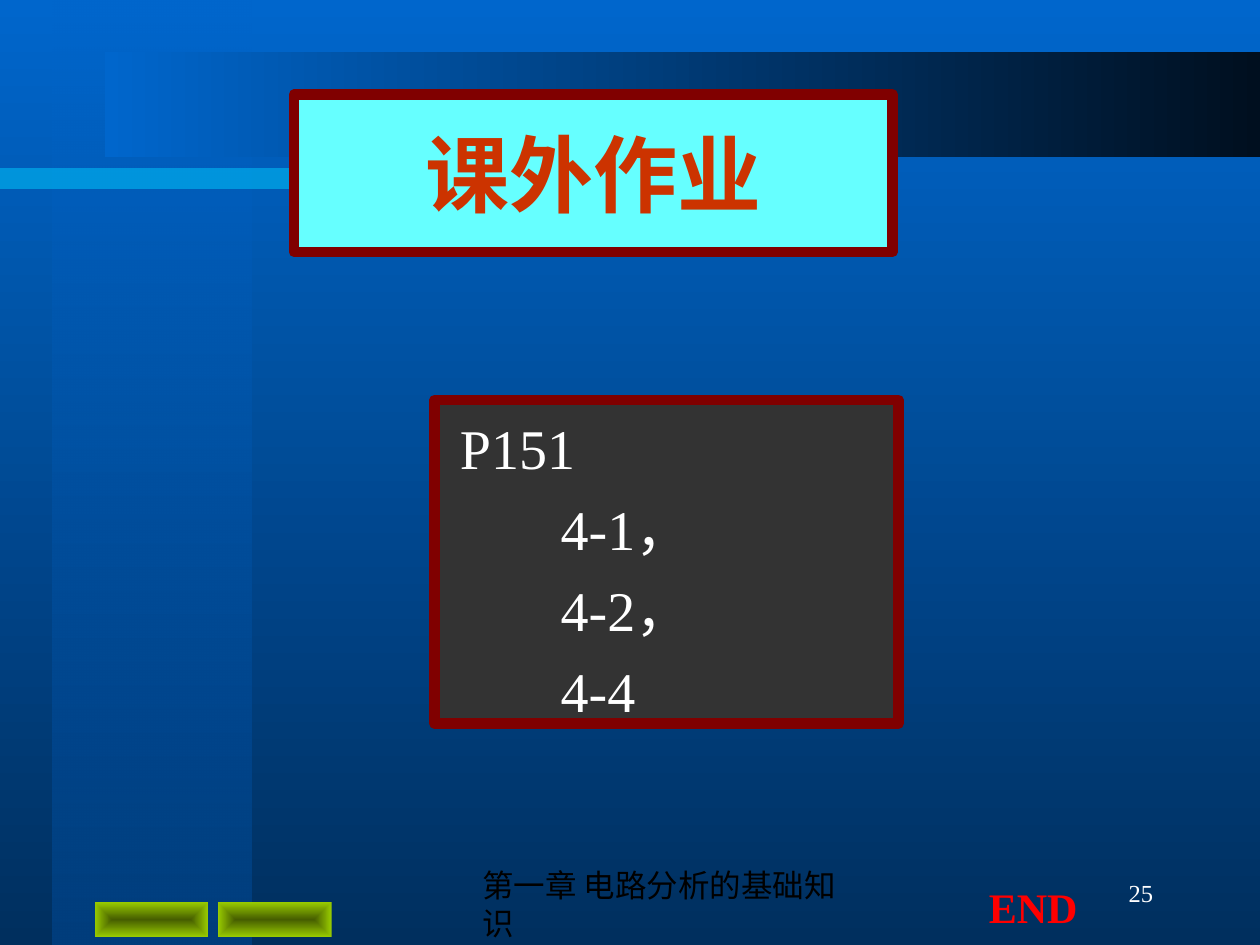
from lxml.etree import SubElement
from pptx import Presentation
from pptx.dml.color import RGBColor
from pptx.enum.shapes import MSO_SHAPE as Shape
from pptx.enum.text import MSO_ANCHOR as Anchor, PP_ALIGN as Align
from pptx.oxml.ns import qn
from pptx.util import Pt

COLORS = {
    "sky": "0066CC", "deep": "002F5E", "column": "003E7D", "night": "000F1F",
    "stripe": "00CCFF", "olive": "465E00", "lime": "99CC00", "cyan": "66FFFF",
    "maroon": "800000", "orange": "CC3300", "charcoal": "333333",
    "white": "FFFFFF", "red": "FF0000", "black": "000000",
}
SERIF, SANS, CHINESE = "Times New Roman", "Arial", "Noto Sans CJK SC"


def color(name):
    """Return the named colour."""
    return RGBColor.from_string(COLORS[name])


def set_gradient(fill, start, end, angle):
    """Apply a two-colour linear gradient."""
    fill.gradient()
    fill.gradient_angle = angle
    for stop, name, position in zip(fill.gradient_stops, (start, end), (0, 1)):
        stop.color.rgb = color(name)
        stop.position = position


def fade_first_color(shape):
    """Make the first fill colour of a shape half transparent."""
    first = next(shape._element.spPr.iter(qn("a:srgbClr")))
    SubElement(first, qn("a:alpha"), val="50000")


def center_gradient(shape):
    """Turn a linear gradient into a rectangular one from the centre."""
    linear = next(shape._element.spPr.iter(qn("a:lin")))
    gradient = linear.getparent()
    gradient.remove(linear)
    path = SubElement(gradient, qn("a:path"), path="rect")
    SubElement(path, qn("a:fillToRect"), **dict.fromkeys("ltrb", "50000"))


def add_rectangle(slide, box, fill=None, border=None):
    """Add a rectangle with an optional solid fill and border."""
    shape = slide.shapes.add_shape(Shape.RECTANGLE, *map(Pt, box))
    shape.shadow.inherit = False
    if fill:
        shape.fill.solid()
        shape.fill.fore_color.rgb = color(fill)
    if border:
        shape.line.color.rgb = color(border)
        shape.line.width = Pt(6)
    else:
        shape.line.fill.background()
    return shape


def write_text(shape, lines, ink, font, frame=None, layout=None):
    """Write paragraphs with shared frame, paragraph and font formats."""
    text_frame = shape.text_frame
    for name, value in {"word_wrap": True, **(frame or {})}.items():
        setattr(text_frame, name, value)
    text_frame.text = "\n".join(lines)
    for paragraph in text_frame.paragraphs:
        for name, value in {"alignment": Align.LEFT, **(layout or {})}.items():
            setattr(paragraph, name, value)
        for run in paragraph.runs:
            for name, value in font.items():
                setattr(run.font, name, value)
            run.font.color.rgb = color(ink)
            SubElement(run._r.get_or_add_rPr(), qn("a:ea"), typeface=CHINESE)


def add_backdrop(slide, box):
    """Draw the background with its column, stripe and top band."""
    left, top, width, height = box
    set_gradient(slide.background.fill, "sky", "deep", 270)
    column = add_rectangle(slide, (left + 30, top, 114, height))
    set_gradient(column.fill, "sky", "column", 270)
    stripe = add_rectangle(slide, (left, top + 96, 372, 12), "stripe")
    band = add_rectangle(slide, (left + 60, top + 30, width - 60, 60))
    set_gradient(band.fill, "night", "sky", 180)
    for shape in (column, stripe):
        fade_first_color(shape)


def add_buttons(slide, box):
    """Draw two equal buttons at the ends of the box."""
    left, top, width, height = box
    button_width = 65
    for button_left in (left, left + width - button_width):
        button = add_rectangle(slide, (button_left, top, button_width, height))
        set_gradient(button.fill, "olive", "lime", 0)
        center_gradient(button)


def add_title(slide, box):
    """Draw the framed title."""
    write_text(add_rectangle(slide, box, "cyan", "maroon"), ["课外作业"], "orange",
               {"size": Pt(48), "name": SERIF, "bold": True},
               {"vertical_anchor": Anchor.MIDDLE}, {"alignment": Align.CENTER})


def add_homework(slide, box):
    """Draw the framed list with the exercises indented under the page."""
    shape = add_rectangle(slide, box, "charcoal", "maroon")
    write_text(shape, ["P151", "4-1，", "4-2，", "4-4"], "white",
               {"size": Pt(32), "name": SERIF, "bold": False},
               {"vertical_anchor": Anchor.TOP, "margin_left": 0, "margin_right": 0,
                "margin_top": 0, "margin_bottom": 0},
               {"line_spacing": Pt(46.3)})
    for index, paragraph in enumerate(shape.text_frame.paragraphs):
        indent = Pt(72 if index else 14.4)
        paragraph._p.get_or_add_pPr().set("marL", str(indent))


def add_footer(slide, box):
    """Place the chapter name, end mark and slide number."""
    left, top, _, height = box
    middle = {"vertical_anchor": Anchor.MIDDLE}
    items = [
        (0, 6.5, 228, "第一章 电路分析的基础知识", "black",
         {"size": Pt(18), "name": SANS}, middle, Align.LEFT),
        (289.5, 8, 86, "END", "red",
         {"size": Pt(24), "name": SERIF, "bold": True}, {}, Align.LEFT),
        (247.5, 0, 150, "25", "white",
         {"size": Pt(14), "name": SERIF}, middle, Align.RIGHT),
    ]
    for x, y, width, text, ink, font, frame, alignment in items:
        text_box = slide.shapes.add_textbox(
            *map(Pt, (left + x, top + y, width, height)))
        write_text(text_box, [text], ink, font, frame, {"alignment": alignment})


def main():
    """Build and save the homework slide."""
    presentation = Presentation()
    presentation.slide_width, presentation.slide_height = Pt(720), Pt(540)
    slide = presentation.slides.add_slide(presentation.slide_layouts[6])
    add_backdrop(slide, (0, 0, 720, 540))
    add_buttons(slide, (54, 515.5, 135.5, 20))
    add_title(slide, (168, 54, 342, 90))
    add_homework(slide, (248.4, 228.5, 265, 185))
    add_footer(slide, (268.5, 492, 397.5, 36))
    presentation.save("out.pptx")


if __name__ == "__main__":
    main()
